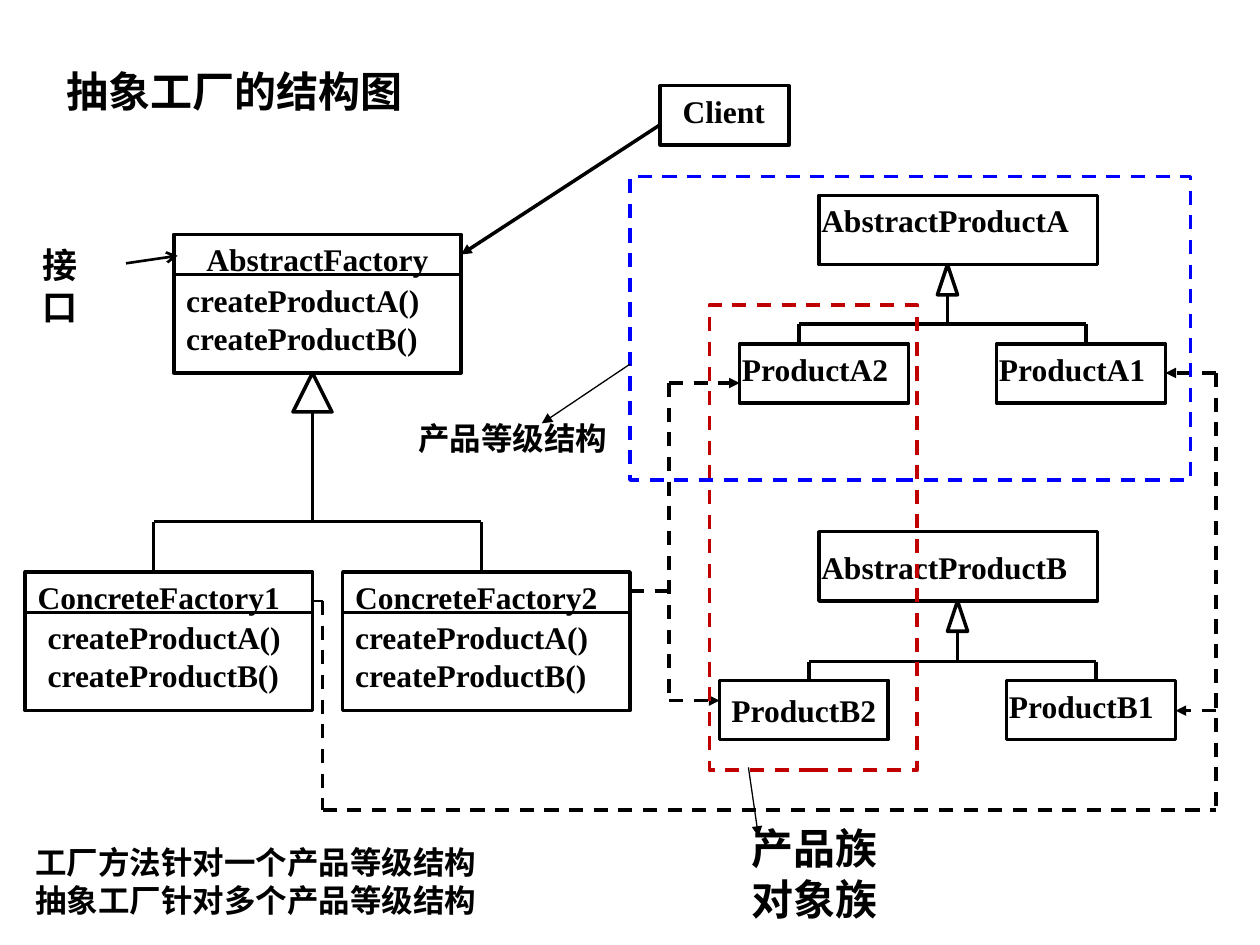
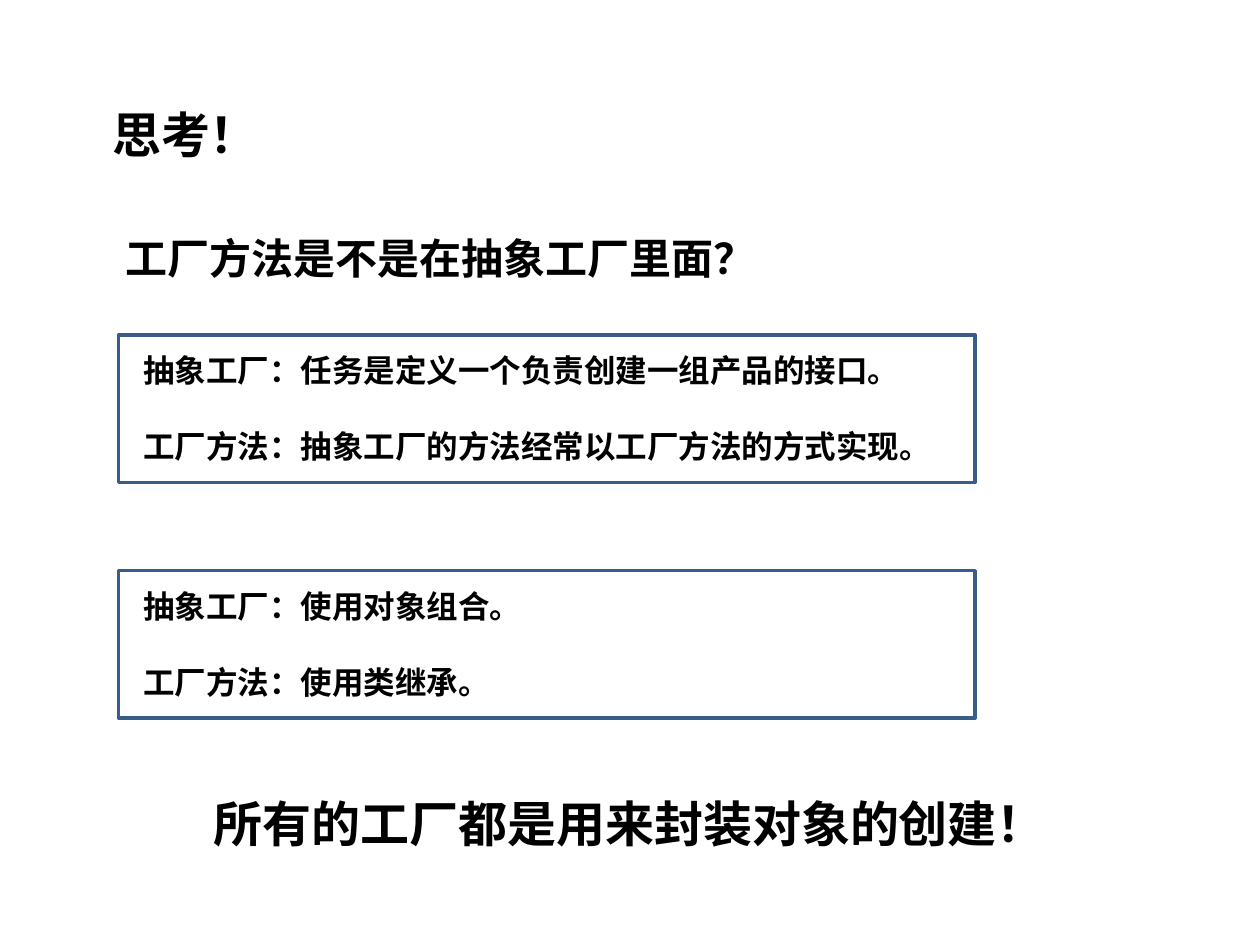
from dataclasses import dataclass

from pptx import Presentation
from pptx.dml.color import RGBColor
from pptx.enum.dml import MSO_LINE
from pptx.enum.shapes import MSO_CONNECTOR, MSO_SHAPE
from pptx.enum.text import MSO_ANCHOR, MSO_AUTO_SIZE, PP_ALIGN
from pptx.oxml.ns import qn
from pptx.util import Inches, Pt
from lxml import etree

RECTANGLE = MSO_SHAPE.RECTANGLE
TRIANGLE = MSO_SHAPE.ISOSCELES_TRIANGLE
STRAIGHT = MSO_CONNECTOR.STRAIGHT
DASH = MSO_LINE.DASH
LEFT, CENTER = PP_ALIGN.LEFT, PP_ALIGN.CENTER
TOP, MIDDLE = MSO_ANCHOR.TOP, MSO_ANCHOR.MIDDLE
FIT_SHAPE, NO_FIT = MSO_AUTO_SIZE.SHAPE_TO_FIT_TEXT, MSO_AUTO_SIZE.NONE
TITLE_ONLY = 5


@dataclass(frozen=True)
class Theme:
    black: RGBColor = RGBColor(0x00, 0x00, 0x00)
    white: RGBColor = RGBColor(0xFF, 0xFF, 0xFF)
    red: RGBColor = RGBColor(0xC0, 0x00, 0x00)
    blue: RGBColor = RGBColor(0x00, 0x00, 0xFF)
    steel: RGBColor = RGBColor(0x38, 0x5D, 0x8A)
    serif: str = "Times New Roman"
    sans: str = "Arial"
    body: int = 18
    note: int = 20
    heading: int = 24
    banner: int = 28
    thin: float = 0.75
    medium: float = 1.5
    thick: float = 2


THEME = Theme()
METHODS = ("createProductA()", "createProductB()")
PRODUCT_SIZE = (1.34, 0.47)
ABSTRACT_SIZE = (2.21, 0.55)
FACTORY_SIZE = (2.28, 1.1)


# Text
def write_lines(frame, lines, size, font, align=LEFT, gap=0):
    frame.text = "\n".join(lines)
    for paragraph in frame.paragraphs:
        paragraph.alignment = align
        paragraph.font.size = Pt(size)
        paragraph.font.name = font
        paragraph.font.bold = True
        paragraph.font.color.rgb = THEME.black
    for paragraph in frame.paragraphs[1:]:
        paragraph.space_before = Pt(gap)


def add_label(slide, left, top, width, *lines, size=THEME.body,
              font=THEME.serif, gap=0):
    height = 0.1 + (size * len(lines) + gap) / 60
    box = slide.shapes.add_textbox(Inches(left), Inches(top),
                                   Inches(width), Inches(height))
    frame = box.text_frame
    frame.word_wrap = False
    frame.auto_size = FIT_SHAPE
    write_lines(frame, lines, size, font, gap=gap)


def add_titled_slide(presentation, title, left, top, width, height, size, font):
    slide = presentation.slides.add_slide(presentation.slide_layouts[TITLE_ONLY])
    shape = slide.shapes.title
    shape.left, shape.top = Inches(left), Inches(top)
    shape.width, shape.height = Inches(width), Inches(height)
    frame = shape.text_frame
    frame.auto_size = NO_FIT
    frame.vertical_anchor = TOP
    write_lines(frame, [title], size, font)
    return slide


# Shapes and lines
def add_outline(slide, left, top, width, height, color=THEME.black,
                kind=RECTANGLE, fill=None, dashed=False):
    shape = slide.shapes.add_shape(kind, Inches(left), Inches(top),
                                   Inches(width), Inches(height))
    shape.shadow.inherit = False
    if fill is None:
        shape.fill.background()
    else:
        shape.fill.solid()
        shape.fill.fore_color.rgb = fill
    shape.line.color.rgb = color
    shape.line.width = Pt(THEME.thick)
    if dashed:
        shape.line.dash_style = DASH
    return shape


def add_line(slide, start, end, width=THEME.thick, dashed=False, arrow=None):
    connector = slide.shapes.add_connector(
        STRAIGHT, *(Inches(value) for value in (*start, *end)))
    connector.line.color.rgb = THEME.black
    connector.line.width = Pt(width)
    if dashed:
        connector.line.dash_style = DASH
    properties = connector._element.spPr
    if arrow:
        etree.SubElement(properties.find(qn("a:ln")), qn("a:tailEnd"), type=arrow)
    etree.SubElement(properties, qn("a:effectLst"))


def add_dashed_route(slide, *points, arrow=None):
    last = len(points) - 2
    for index, (start, end) in enumerate(zip(points, points[1:])):
        add_line(slide, start, end, dashed=True,
                 arrow=arrow if index == last else None)


# Class diagram parts
def add_named_box(slide, left, top, size, name, label_width, shift=(-0.08, 0)):
    add_outline(slide, left, top, *size)
    add_label(slide, left + shift[0], top + shift[1], label_width, name)


def add_factory(slide, left, top, name, name_width, name_shift=0, method_shift=0):
    divider = top + 0.32
    width, height = FACTORY_SIZE
    add_outline(slide, left, top, width, height)
    add_line(slide, (left, divider), (left + width, divider))
    add_label(slide, left + name_shift, top, name_width, name)
    add_label(slide, left + method_shift, divider, 2.06, *METHODS)


def add_inheritance(slide, center, top, head_size, bus, children, child_top):
    head_width, head_height = head_size
    for child in children:
        add_line(slide, (child, bus), (child, child_top))
    add_line(slide, (children[0], bus), (children[-1], bus))
    add_line(slide, (center, top + head_height), (center, bus))
    add_outline(slide, center - head_width / 2, top, head_width, head_height,
                kind=TRIANGLE, fill=THEME.white)


def build_structure_slide(presentation):
    slide = add_titled_slide(presentation, "抽象工厂的结构图", 0.43, 0.47,
                             4.88, 0.5, THEME.heading, THEME.serif)

    # Client and factories
    add_named_box(slide, 5.24, 0.68, (1.02, 0.47), "Client", 0.85, (0.08, 0))
    add_line(slide, (5.24, 0.99), (3.66, 2.02), arrow="triangle")
    add_factory(slide, 1.38, 1.86, "AbstractFactory", 1.96, name_shift=0.16)
    add_factory(slide, 0.2, 4.54, "ConcreteFactory1", 2.13, method_shift=0.08)
    add_factory(slide, 2.72, 4.54, "ConcreteFactory2", 2.13)
    add_inheritance(slide, 2.48, 2.96, (0.31, 0.31), 4.14, (1.22, 3.82), 4.54)

    # Products
    add_named_box(slide, 6.5, 1.55, ABSTRACT_SIZE, "AbstractProductA", 2.17)
    add_named_box(slide, 6.5, 4.22, ABSTRACT_SIZE, "AbstractProductB", 2.16,
                  (-0.08, 0.08))
    for left, top, name in ((5.87, 2.73, "ProductA2"),
                            (7.91, 2.73, "ProductA1"),
                            (7.99, 5.4, "ProductB1")):
        add_named_box(slide, left, top, PRODUCT_SIZE, name, 1.36)
    product_b2 = add_outline(slide, 5.71, 5.4, *PRODUCT_SIZE)
    product_b2.text_frame.word_wrap = False
    product_b2.text_frame.vertical_anchor = MIDDLE
    write_lines(product_b2.text_frame, ["ProductB2"], THEME.body, THEME.serif, CENTER)
    for center, top, bus, children, child_top in (
            (7.52, 2.1, 2.57, (6.34, 8.62), 2.73),
            (7.6, 4.77, 5.25, (6.42, 8.7), 5.4)):
        add_inheritance(slide, center, top, (0.16, 0.24), bus, children, child_top)

    # Which factory creates which product
    add_dashed_route(slide, (5, 4.69), (5.31, 4.69))
    add_dashed_route(slide, (5.31, 3.04), (5.31, 5.56), (5.71, 5.56), arrow="triangle")
    add_dashed_route(slide, (5.31, 3.04), (5.87, 3.04), arrow="triangle")
    add_line(slide, (2.48, 4.77), (2.56, 4.77), THEME.thin)
    add_dashed_route(slide, (2.56, 4.77), (2.56, 6.43), (9.65, 6.43))
    add_dashed_route(slide, (9.65, 2.96), (9.65, 6.43))
    for height, end in ((2.96, 9.25), (5.64, 9.33)):
        add_dashed_route(slide, (9.65, height), (end, height), arrow="triangle")

    # Product family and product hierarchy frames
    add_outline(slide, 5.63, 2.42, 1.65, 3.69, THEME.red, dashed=True)
    add_outline(slide, 5, 1.4, 4.45, 2.41, THEME.blue, dashed=True)

    # Annotations
    add_line(slide, (5.94, 6.09), (6.02, 6.64), THEME.thin, arrow="triangle")
    add_label(slide, 5.87, 6.48, 1.2, "产品族", size=THEME.heading, font=THEME.sans)
    add_label(slide, 5.87, 6.88, 1.2, "对象族", size=THEME.heading)
    add_line(slide, (5, 2.89), (4.3, 3.36), THEME.thin, arrow="triangle")
    add_label(slide, 3.22, 3.28, 1.7, "产品等级结构", font=THEME.sans)
    add_label(slide, 0.24, 1.88, 0.75, "接口", size=THEME.note, font=THEME.sans)
    add_line(slide, (1, 2.09), (1.41, 2.03), THEME.medium, arrow="arrow")
    add_label(slide, 0.18, 6.64, 3.7, "工厂方法针对一个产品等级结构",
              "抽象工厂针对多个产品等级结构", font=THEME.sans)


def build_question_slide(presentation):
    slide = add_titled_slide(presentation, "思考！", 0.79, 0.78, 1.36, 0.57,
                             THEME.banner, THEME.sans)
    add_label(slide, 0.9, 1.8, 5.2, "工厂方法是不是在抽象工厂里面？",
              size=THEME.heading, font=THEME.sans)

    # Framed comparisons
    comparisons = (
        (2.66, 6.45, "抽象工厂：任务是定义一个负责创建一组产品的接口。",
         "工厂方法：抽象工厂的方法经常以工厂方法的方式实现。"),
        (4.53, 3.2, "抽象工厂：使用对象组合。", "工厂方法：使用类继承。"),
    )
    for top, width, *lines in comparisons:
        add_label(slide, 1.04, top + 0.08, width, *lines, font=THEME.sans, gap=21.6)
        add_outline(slide, 0.94, top, 6.8, 1.17, THEME.steel)

    # Conclusion
    add_label(slide, 1.6, 6.25, 6.8, "所有的工厂都是用来封装对象的创建！",
              size=THEME.banner, font=THEME.sans)


def main():
    presentation = Presentation()
    presentation.slide_width = Inches(10)
    presentation.slide_height = Inches(7.5)
    build_structure_slide(presentation)
    build_question_slide(presentation)
    presentation.save("out.pptx")


if __name__ == "__main__":
    main()
